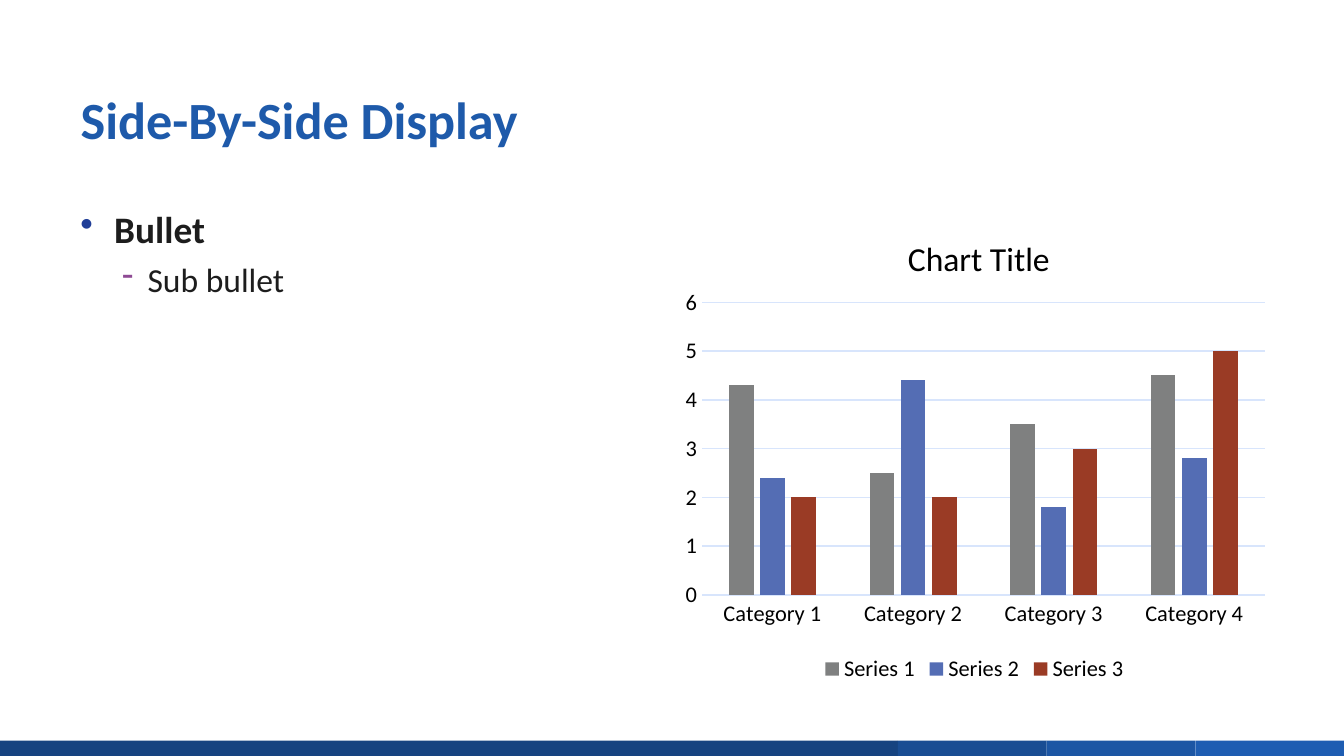
from dataclasses import dataclass

from lxml.etree import SubElement
from pptx import Presentation
from pptx.chart.data import CategoryChartData
from pptx.dml.color import RGBColor
from pptx.enum.chart import XL_CHART_TYPE, XL_LEGEND_POSITION, XL_TICK_MARK
from pptx.enum.shapes import MSO_SHAPE
from pptx.enum.text import MSO_ANCHOR, MSO_AUTO_SIZE, PP_ALIGN
from pptx.oxml import parse_xml
from pptx.oxml.ns import nsdecls, qn
from pptx.util import Cm, Pt


@dataclass(frozen=True)
class Theme:
    font: str = "Calibri"
    title: str = "1E5AAA"
    text: str = "1D1D1D"
    chart_text: str = "000000"
    grid: str = "D8E5FC"
    bullets: tuple = ("213F98", "8E4A94")
    footer: tuple = ("164380", "194D93", "1C56A4", "1E5DB2")
    series: tuple = ("7F8080", "546DB4", "9A3B25")
    title_size: int = 28
    body_sizes: tuple = (20, 18)
    chart_title_size: int = 18
    chart_size: int = 12


def apply_format(target, values):
    for name, value in values.items():
        setattr(target, name, value)


class SlideBuilder:
    """Hold the theme and the current slide, and add styled elements to it."""

    def __init__(self, slide, theme):
        self.slide = slide
        self.theme = theme

    def style_font(self, font, size, color, bold=False):
        apply_format(font, {"name": self.theme.font, "size": Pt(size), "bold": bold})
        font.color.rgb = RGBColor.from_string(color)

    def place(self, shape, left, top, width, height):
        box = {"left": left, "top": top, "width": width, "height": height}
        apply_format(shape, {name: Cm(value) for name, value in box.items()})

    def add_title(self, text, *box):
        shape = self.slide.shapes.title
        self.place(shape, *box)
        apply_format(shape.text_frame, {
            "text": text,
            "word_wrap": True,
            "auto_size": MSO_AUTO_SIZE.NONE,
            "vertical_anchor": MSO_ANCHOR.BOTTOM,
        })
        paragraph = shape.text_frame.paragraphs[0]
        apply_format(paragraph, {"alignment": PP_ALIGN.LEFT, "line_spacing": 1.65})
        self.style_font(paragraph.font, self.theme.title_size, self.theme.title, True)

    def add_bar(self, color, *box):
        shape = self.slide.shapes.add_shape(
            MSO_SHAPE.RECTANGLE, *(Cm(value) for value in box))
        shape.shadow.inherit = False
        shape.fill.solid()
        shape.fill.fore_color.rgb = RGBColor.from_string(color)
        shape.line.fill.background()

    def add_bullets(self, items, *box):
        shape = self.slide.shapes.add_textbox(*(Cm(value) for value in box))
        frame = shape.text_frame
        frame.word_wrap = True
        markers = (("•", 0.64, -0.64), ("-", 1.27, -0.48))
        for index, (level, text) in enumerate(items):
            paragraph = frame.add_paragraph() if index else frame.paragraphs[0]
            apply_format(paragraph, {"text": text, "level": level})
            if index:
                paragraph.space_before = Pt(4)
            marker, margin, indent = markers[level]
            properties = paragraph._p.get_or_add_pPr()
            properties.set("marL", str(Cm(margin)))
            properties.set("indent", str(Cm(indent)))
            color = SubElement(properties, qn("a:buClr"))
            SubElement(color, qn("a:srgbClr")).set("val", self.theme.bullets[level])
            SubElement(properties, qn("a:buChar")).set("char", marker)
            self.style_font(paragraph.font, self.theme.body_sizes[level],
                            self.theme.text, level == 0)

    def set_layout(self, element, **values):
        layout = element.find(qn("c:layout"))
        if layout is not None:
            element.remove(layout)
        parts = "".join(f'<c:{name} val="{value}"/>' for name, value in values.items())
        layout = parse_xml(f'<c:layout {nsdecls("c")}><c:manualLayout>{parts}'
                           "</c:manualLayout></c:layout>")
        text = element.find(qn("c:tx"))
        element.insert(0 if text is None else 1, layout)

    def style_grid_line(self, line):
        line.width = Pt(0.75)
        line.color.rgb = RGBColor.from_string(self.theme.grid)

    def add_column_chart(self, title, categories, series, *box):
        theme = self.theme
        data = CategoryChartData()
        data.categories = categories
        for name, values in series.items():
            data.add_series(name, values)
        chart = self.slide.shapes.add_chart(
            XL_CHART_TYPE.COLUMN_CLUSTERED, *(Cm(value) for value in box), data).chart
        self.style_font(chart.font, theme.chart_size, theme.chart_text)

        chart.has_title = True
        chart.chart_title.include_in_layout = False
        paragraph = chart.chart_title.text_frame.paragraphs[0]
        paragraph.text = title
        self.style_font(paragraph.runs[0].font, theme.chart_title_size, theme.chart_text)
        self.set_layout(chart.chart_title._element, xMode="edge", yMode="edge",
                        x=0.38, y=0.06)

        plot = chart.plots[0]
        apply_format(plot, {"gap_width": 219, "overlap": -27, "vary_by_categories": False})
        for column, color in zip(plot.series, theme.series):
            column.format.fill.solid()
            column.format.fill.fore_color.rgb = RGBColor.from_string(color)
        self.set_layout(chart._chartSpace.chart.plotArea, layoutTarget="inner",
                        xMode="edge", yMode="edge", x=0.05, y=0.21, w=0.93, h=0.6)

        for axis in (chart.category_axis, chart.value_axis):
            apply_format(axis, {"major_tick_mark": XL_TICK_MARK.NONE,
                                "minor_tick_mark": XL_TICK_MARK.NONE})
            self.style_font(axis.tick_labels.font, theme.chart_size, theme.chart_text)
        self.style_grid_line(chart.category_axis.format.line)
        apply_format(chart.value_axis, {"minimum_scale": 0, "maximum_scale": 6,
                                        "major_unit": 1, "has_major_gridlines": True})
        chart.value_axis.format.line.fill.background()
        self.style_grid_line(chart.value_axis.major_gridlines.format.line)

        chart.has_legend = True
        apply_format(chart.legend, {"position": XL_LEGEND_POSITION.BOTTOM,
                                    "include_in_layout": False})
        self.style_font(chart.legend.font, theme.chart_size, theme.chart_text)


def main():
    presentation = Presentation()
    apply_format(presentation, {"slide_width": Cm(25.4), "slide_height": Cm(14.29)})
    slide = presentation.slides.add_slide(presentation.slide_layouts[5])
    theme = Theme()
    builder = SlideBuilder(slide, theme)

    step, first_width = 2.81, 16.97
    for index, color in enumerate(theme.footer):
        left = first_width + (index - 1) * step if index else 0
        builder.add_bar(color, left, 14, step if index else first_width, 0.29)

    builder.add_title("Side-By-Side Display", 1.27, 0.58, 22.86, 2.39)
    builder.add_bullets([(0, "Bullet"), (1, "Sub bullet")], 1.27, 3.78, 10.8, 9.22)
    builder.add_column_chart(
        "Chart Title",
        [f"Category {number}" for number in range(1, 5)],
        {"Series 1": (4.3, 2.5, 3.5, 4.5),
         "Series 2": (2.4, 4.4, 1.8, 2.8),
         "Series 3": (2, 2, 3, 5)},
        12.7, 3.78, 11.43, 9.22)
    presentation.save("out.pptx")


if __name__ == "__main__":
    main()
